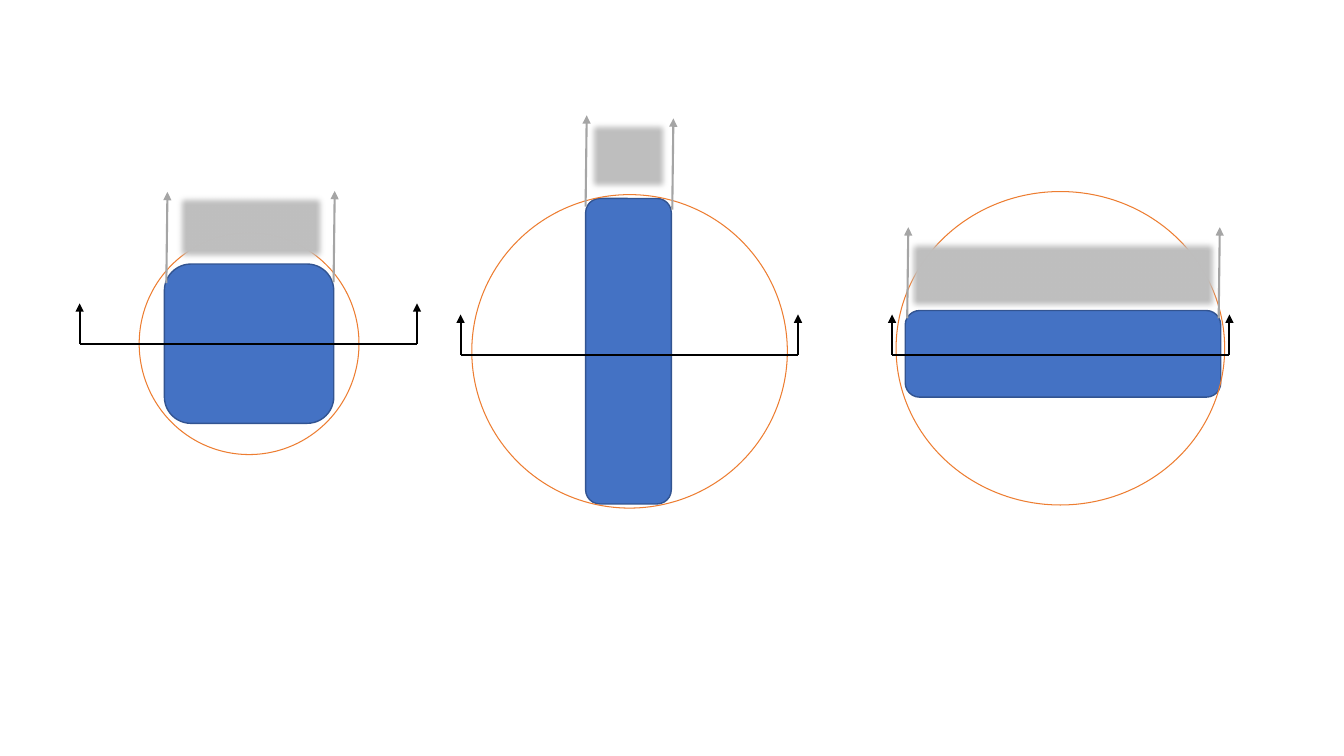
"""Build a slide of three blocks with bounding circles, section lines and blurred projections."""
import lxml.etree
import pptx
import pptx.dml.color
import pptx.enum.shapes
import pptx.oxml.ns
import pptx.util

Pt = pptx.util.Pt
qn = pptx.oxml.ns.qn
PRESETS = pptx.enum.shapes.MSO_SHAPE

COLORS = {
    "block": "4472C4",
    "block_edge": "325491",
    "circle": "ED7D31",
    "section": "000000",
    "ray": "A5A5A5",
    "projection": "BFBFBF",
}
SECTION_WIDTH, SECTION_RISE = 241, 28.8
RAY_LEAN, RAY_RISE = 0.8, 65.2
BLUR_RADIUS = 5

VIEWS = [
    {
        "block": (117.4, 188.6, 121, 113.8),
        "circle": (99.4, 166.3, 157, 158.4),
        "projection": (123.8, 136.8, 110.9, 51.8),
        "section": (56.9, 245.5),
        "rays": [(118.8, 202.3), (238.3, 201.6)],
    },
    {
        "block": (418.3, 141.8, 61.2, 218.2),
        "circle": (337, 139, 225.4, 223.9),
        "projection": (418.3, 85, 61.2, 53.3),
        "section": (329, 253.4),
        "rays": [(418.3, 147.6), (480.2, 149.8)],
    },
    {
        "block": (646.6, 221.8, 225.4, 61.9),
        "circle": (640.1, 136.8, 234.7, 223.9),
        "projection": (646.6, 169.9, 225.4, 53.3),
        "section": (637.2, 253.4),
        "rays": [(648, 227.5), (870.5, 227.5)],
    },
]


def rgb(name):
    return pptx.dml.color.RGBColor.from_string(COLORS[name])


def add_outline(slide, preset, box, fill=None, line=None, width=1):
    outline = slide.shapes.add_shape(preset, *map(Pt, box))
    outline.shadow.inherit = False
    if fill:
        outline.fill.solid()
        outline.fill.fore_color.rgb = rgb(fill)
    else:
        outline.fill.background()
    if line:
        outline.line.color.rgb = rgb(line)
        outline.line.width = Pt(width)
    else:
        outline.line.fill.background()
    return outline


def add_stroke(slide, start, end, color, arrow=False):
    stroke = slide.shapes.add_connector(
        pptx.enum.shapes.MSO_CONNECTOR.STRAIGHT, *map(Pt, start + end))
    stroke.line.color.rgb = rgb(color)
    stroke.line.width = Pt(1.5)
    if arrow:
        lxml.etree.SubElement(stroke.line._get_or_add_ln(), qn("a:tailEnd"), type="triangle")
    lxml.etree.SubElement(stroke._element.spPr, qn("a:effectLst"))


def add_projection(slide, box):
    projection = add_outline(slide, PRESETS.RECTANGLE, box, fill="projection")
    effects = projection._element.spPr.find(qn("a:effectLst"))
    lxml.etree.SubElement(effects, qn("a:softEdge"), rad=str(Pt(BLUR_RADIUS)))


def add_section(slide, left, y):
    right = left + SECTION_WIDTH
    add_stroke(slide, (left, y), (right, y), "section")
    for x in (left, right):
        add_stroke(slide, (x, y), (x, y - SECTION_RISE), "section", arrow=True)


def main():
    presentation = pptx.Presentation()
    presentation.slide_width, presentation.slide_height = Pt(960), Pt(540)
    slide = presentation.slides.add_slide(presentation.slide_layouts[6])
    for view in VIEWS:
        add_outline(slide, PRESETS.ROUNDED_RECTANGLE, view["block"],
                    fill="block", line="block_edge")
    for view in VIEWS:
        add_outline(slide, PRESETS.OVAL, view["circle"], line="circle", width=0.75)
        add_section(slide, *view["section"])
        add_projection(slide, view["projection"])
        for x, y in view["rays"]:
            add_stroke(slide, (x, y), (x + RAY_LEAN, y - RAY_RISE), "ray", arrow=True)
    presentation.save("out.pptx")


if __name__ == "__main__":
    main()
